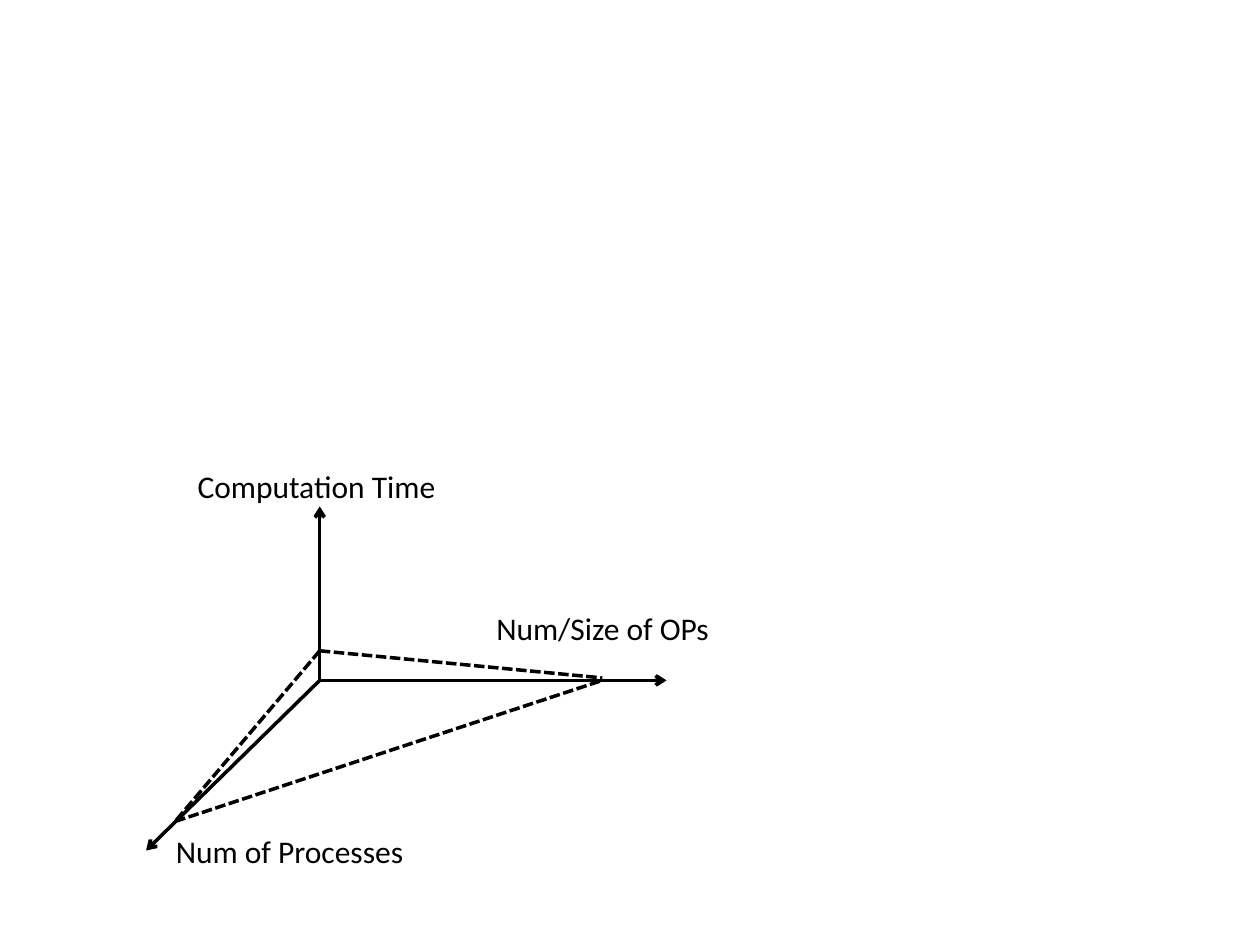
from lxml import etree
from pptx import Presentation
from pptx.dml.color import RGBColor
from pptx.enum.dml import MSO_LINE
from pptx.enum.shapes import MSO_CONNECTOR
from pptx.oxml.ns import qn
from pptx.util import Pt

STRAIGHT = MSO_CONNECTOR.STRAIGHT
DASH = MSO_LINE.SQUARE_DOT  # written to the file as sysDash
COLORS = {"ink": "000000"}
FONT_NAME, FONT_SIZE, LINE_WIDTH = "Calibri", 18, 2
LABEL_HEIGHT = 29

# All positions are in points.
ORIGIN = (182.7, 388.8)
AXIS_TIPS = [(83.5, 486), (380.9, 388.8), (182.7, 289.4)]
TIME_MARK, PROCESS_MARK = (182.7, 371.9), (100.1, 469.4)
DASHED_EDGES = [
    (TIME_MARK, PROCESS_MARK),
    (TIME_MARK, (344.2, 387.4)),
    (PROCESS_MARK, (344.2, 388.8)),
]
# text, left, top, width
LABELS = [
    ("Num/Size of OPs", 276.5, 344.2, 138.2),
    ("Computation Time", 105.8, 263.5, 151.9),
    ("Num of Processes", 93.4, 471.6, 146.2),
]


def add_line(slide, start, end, dashed=False, arrow=False):
    """Draw a straight line, optionally dashed or with an arrowhead."""
    points = [Pt(value) for value in (*start, *end)]
    connector = slide.shapes.add_connector(STRAIGHT, *points)
    connector.line.width = Pt(LINE_WIDTH)
    connector.line.color.rgb = RGBColor.from_string(COLORS["ink"])
    if dashed:
        connector.line.dash_style = DASH
    properties = connector.element.spPr
    if arrow:
        line = properties.find(qn("a:ln"))
        etree.SubElement(line, qn("a:tailEnd")).set("type", "arrow")
    etree.SubElement(properties, qn("a:effectLst"))


def add_label(slide, text, left, top, width):
    """Add a one-line axis label."""
    box = slide.shapes.add_textbox(Pt(left), Pt(top), Pt(width), Pt(LABEL_HEIGHT))
    box.text_frame.word_wrap = False
    paragraph = box.text_frame.paragraphs[0]
    paragraph.text = text
    paragraph.font.name = FONT_NAME
    paragraph.font.size = Pt(FONT_SIZE)
    paragraph.font.color.rgb = RGBColor.from_string(COLORS["ink"])


def main():
    """Build the three-axis diagram and save it."""
    presentation = Presentation()
    presentation.slide_width, presentation.slide_height = Pt(720), Pt(540)
    slide = presentation.slides.add_slide(presentation.slide_layouts[6])
    for tip in AXIS_TIPS:
        add_line(slide, ORIGIN, tip, arrow=True)
    for start, end in DASHED_EDGES:
        add_line(slide, start, end, dashed=True)
    for label in LABELS:
        add_label(slide, *label)
    presentation.save("out.pptx")


main()
